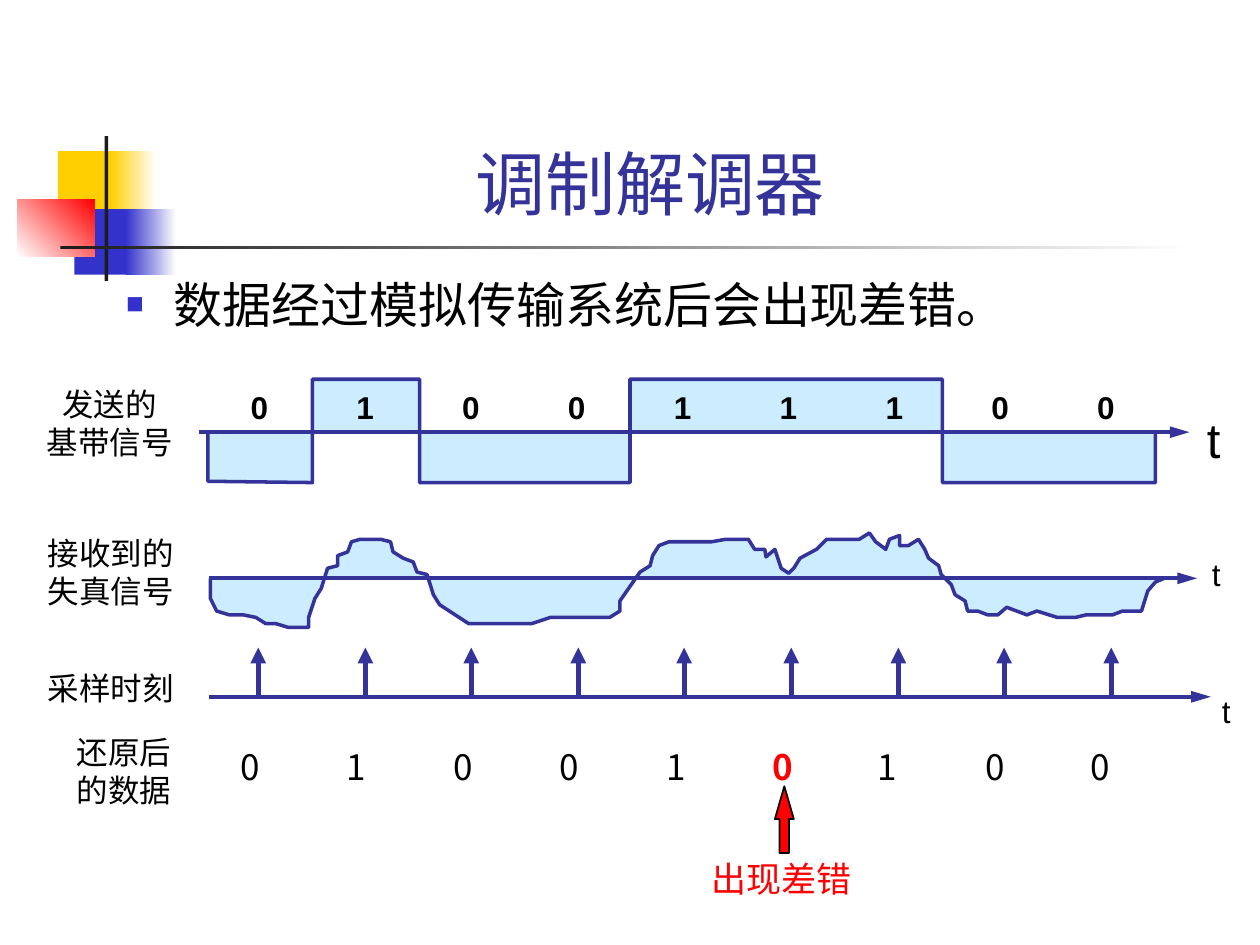
from lxml.etree import SubElement
from pptx import Presentation
from pptx.dml.color import RGBColor
from pptx.enum.shapes import MSO_CONNECTOR, MSO_SHAPE
from pptx.enum.text import MSO_ANCHOR, MSO_AUTO_SIZE, PP_ALIGN
from pptx.oxml.ns import qn
from pptx.util import Pt

PX = 9144  # 100 px to the inch
CJK = "Noto Sans CJK SC"
NAVY, PALE, BLUE, RED = "333399", "CCECFF", "3333CC", "FF0000"
rgb = RGBColor.from_string


def write(frame, text, size, face=CJK, color="000000", bold=False, align=PP_ALIGN.LEFT):
    """Fill a text frame, one paragraph for each line of text."""
    frame.text = text
    for para in frame.paragraphs:
        para.alignment = align
        font = para.runs[0].font
        for key, val in dict(size=Pt(size), name=face, bold=bold).items():
            setattr(font, key, val)
        font.color.rgb = rgb(color)
        SubElement(para.runs[0]._r.get_or_add_rPr(), qn("a:ea"), typeface=CJK)


def arrow(x1, y1, x2, y2, width, length):
    line = slide.shapes.add_connector(
        MSO_CONNECTOR.STRAIGHT, x1 * PX, y1 * PX, x2 * PX, y2 * PX)
    line.line.color.rgb = rgb(NAVY)
    line.line.width = Pt(width)
    SubElement(line.line._get_or_add_ln(), qn("a:tailEnd"), type="triangle", len=length)
    SubElement(line._element.spPr, qn("a:effectLst"))


deck = Presentation()
deck.slide_width, deck.slide_height = 1000 * PX, 750 * PX
slide = deck.slides.add_slide(deck.slide_layouts[1])
title, body = slide.placeholders

# Corner blocks and rules: left, top, width, height, colours, angle
for x, y, w, h, tones, angle in [
    (46, 120, 48, 52, ["FFCF01"], 0),
    (88, 120, 36, 52, ["FFCF01", "FFFFFF"], 0),
    (59, 166, 46, 52, [BLUE], 0),
    (100, 166, 40, 52, [BLUE, "FFFFFF"], 0),
    (14, 158, 61, 46, ["FFFFFF", RED], 45),
    (83, 108, 3, 115, ["1C1C1C"], 0),
    (48, 195, 900, 3, ["1C1C1C", "FFFFFF"], 0),
]:
    block = slide.shapes.add_shape(MSO_SHAPE.RECTANGLE, x * PX, y * PX, w * PX, h * PX)
    block.shadow.inherit = False
    block.line.fill.background()
    if len(tones) == 1:
        block.fill.solid()
        block.fill.fore_color.rgb = rgb(tones[0])
    else:
        block.fill.gradient()
        block.fill.gradient_angle = angle
        for stop, tone in zip(block.fill.gradient_stops, tones):
            stop.color.rgb = rgb(tone)

# Title and bullet
for holder, (x, y, w, h), anchor in [
    (title, (126, 23, 780, 160), MSO_ANCHOR.BOTTOM),
    (body, (90, 194, 874, 79), MSO_ANCHOR.TOP),
]:
    for key, val in dict(left=x, top=y, width=w, height=h).items():
        setattr(holder, key, val * PX)
    holder.text_frame.auto_size = MSO_AUTO_SIZE.NONE
    holder.text_frame.vertical_anchor = anchor
write(title.text_frame, "调制解调器", 40, "Arial", NAVY, align=PP_ALIGN.CENTER)
write(body.text_frame, "数据经过模拟传输系统后会出现差错。", 28, "Arial")
point = body.text_frame.paragraphs[0]
point.line_spacing, point.space_before = 1.4, Pt(7)
props = point._p.get_or_add_pPr()
props.set("marL", str(38 * PX))
props.set("indent", str(-38 * PX))
SubElement(SubElement(props, qn("a:buClr")), qn("a:srgbClr"), val=BLUE)
SubElement(props, qn("a:buSzPct"), val="60000")
SubElement(props, qn("a:buFont"), typeface="Arial")
SubElement(props, qn("a:buChar"), char="■")

# Sent and received signals
sent = [(165, 343), (165, 382), (248, 383), (248, 301), (333, 301), (333, 383),
        (500, 383), (500, 301), (748, 301), (748, 383), (917, 383), (917, 343)]
noisy = [
    (167, 459), (167, 475), (172, 485), (182, 488), (193, 488), (203, 490),
    (211, 495), (219, 495), (229, 498), (245, 498), (245, 490), (250, 475),
    (255, 467), (260, 451), (268, 449), (268, 441), (276, 438), (279, 430),
    (286, 428), (302, 428), (310, 430), (312, 438), (320, 443), (328, 446),
    (331, 454), (339, 456), (344, 472), (349, 480), (372, 495), (422, 495),
    (437, 490), (484, 490), (492, 485), (492, 477), (508, 454), (516, 449),
    (518, 441), (523, 433), (531, 430), (565, 430), (576, 428), (594, 428),
    (599, 436), (607, 436), (608, 442), (615, 436), (620, 451), (626, 455),
    (630, 451), (635, 443), (648, 436), (656, 428), (682, 428), (690, 423),
    (695, 430), (703, 436), (706, 428), (714, 425), (714, 433), (721, 433),
    (729, 428), (734, 436), (737, 443), (745, 449), (747, 456), (755, 464),
    (758, 472), (766, 477), (768, 485), (776, 485), (784, 488), (792, 488),
    (799, 482), (815, 488), (823, 485), (839, 490), (854, 490), (862, 488),
    (883, 488), (891, 485), (906, 485), (911, 469), (917, 462), (924, 459)]
for start, *rest in (sent, noisy):
    pen = slide.shapes.build_freeform(*start, scale=PX)
    pen.add_line_segments(rest, close=False)
    wave = pen.convert_to_shape()
    wave.shadow.inherit = False
    wave.fill.solid()
    wave.fill.fore_color.rgb = rgb(PALE)
    wave.line.color.rgb = rgb(NAVY)
    wave.line.width = Pt(2)

# Time axes and sampling arrows
for x1, x2, y in [(158, 944, 343), (166, 950, 459), (166, 961, 553)]:
    arrow(x1, y, x2, y, 2.25, "lg")
for i in range(9):
    x = 205 + round(84.6 * i)
    arrow(x, 553, x, 514, 3, "med")

# Labels: left, top, width, height, text, format
mid = dict(size=18, align=PP_ALIGN.CENTER)
labels = [
    (27, 301, 120, 70, "发送的\n基带信号", mid),
    (28, 419, 120, 70, "接收到的\n失真信号", mid),
    (28, 526, 120, 40, "采样时刻", dict(size=18)),
    (51, 577, 95, 70, "还原后\n的数据", dict(size=18)),
    (948, 320, 31, 56, "t", dict(size=28, face="Arial")),
    (952, 436, 27, 40, "t", dict(size=18, face="Arial")),
    (960, 544, 27, 40, "t", dict(size=18, face="Arial")),
    (555, 676, 131, 43, "出现差错", dict(size=20, face="Times New Roman", color=RED)),
]
for i, (bit, got) in enumerate(zip("010011100", "010010100")):
    wrong = bit != got
    labels += [
        (189 + 84 * i, 303, 34, 40, bit, dict(size=18, face="Arial", bold=True)),
        (181 + round(84.4 * i), 587, 37, 43, got,
         dict(size=20, bold=wrong, color=RED if wrong else "000000")),
    ]
for x, y, w, h, text, style in labels:
    frame = slide.shapes.add_textbox(x * PX, y * PX, w * PX, h * PX).text_frame
    frame.word_wrap = False
    frame.auto_size = MSO_AUTO_SIZE.SHAPE_TO_FIT_TEXT
    write(frame, text, **style)

# Error pointer
error = slide.shapes.add_shape(MSO_SHAPE.RIGHT_ARROW, 596 * PX, 643 * PX, 53 * PX, 15 * PX)
error.shadow.inherit = False
error.rotation = 270
error.adjustments[0], error.adjustments[1] = 0.5, 1.73
error.fill.solid()
error.fill.fore_color.rgb = rgb(RED)
error.line.color.rgb = rgb("000000")
error.line.width = Pt(1)

deck.save("out.pptx")
